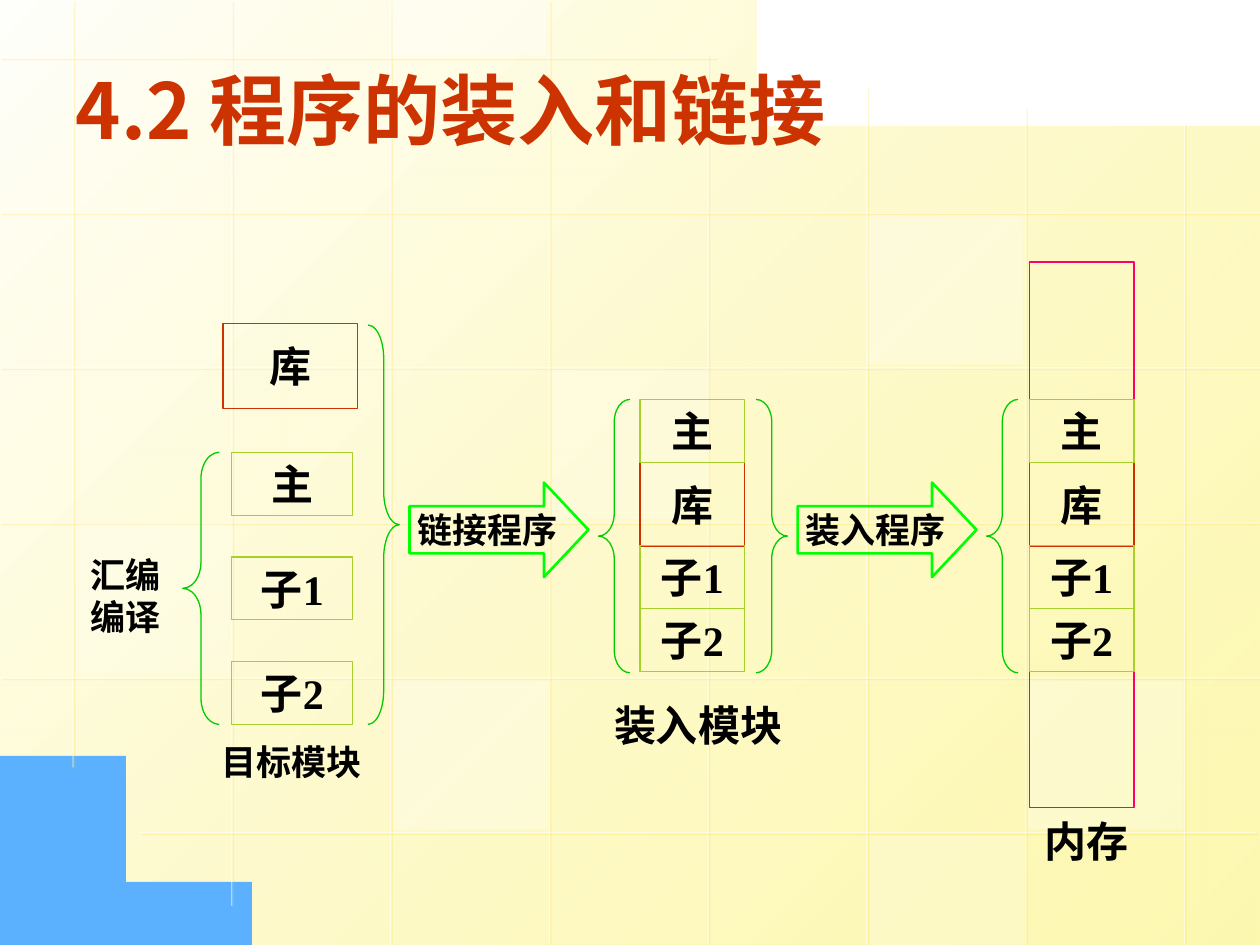
from lxml import etree
from pptx import Presentation
from pptx.dml.color import RGBColor
from pptx.enum.dml import MSO_FILL
from pptx.enum.shapes import MSO_CONNECTOR, MSO_SHAPE
from pptx.enum.text import MSO_ANCHOR, MSO_AUTO_SIZE, PP_ALIGN
from pptx.oxml.ns import qn
from pptx.util import Inches, Pt

RECTANGLE, ARROW = MSO_SHAPE.RECTANGLE, MSO_SHAPE.RIGHT_ARROW
LEFT_BRACE, RIGHT_BRACE = MSO_SHAPE.LEFT_BRACE, MSO_SHAPE.RIGHT_BRACE
STRAIGHT, GRADIENT = MSO_CONNECTOR.STRAIGHT, MSO_FILL.GRADIENT
MIDDLE, TOP = MSO_ANCHOR.MIDDLE, MSO_ANCHOR.TOP
LEFT, CENTER, NO_AUTOFIT = PP_ALIGN.LEFT, PP_ALIGN.CENTER, MSO_AUTO_SIZE.NONE

THEME = {
    "latin": "Times New Roman", "chinese": "Noto Sans CJK SC",
    "title_size": 44, "box_size": 24, "label_size": 20,
    "title": "CC3300", "text": "000000", "library": "CC3300", "module": "A8D02A",
    "brace": "00CC00", "arrow": "00FF00", "memory": "FF0066",
    "pale": "FFFFFB", "yellow": "FDF58D", "blue": "5CB1FE",
    "grid": "FFFFFF", "grid_shadow": "FFCC00",
}

TITLE = "4.2 程序的装入和链接"

# Outlines: a start point, then line ends (x, y) or cubic curves (x1, y1, x2, y2, x, y)
YELLOW_FIELD = [(10, 1.04), (10, 7.5), (2.3, 7.5),
                (0.86, 6.61, -0.01, 5.39, 0, 5.39),
                (-0.01, -0.01), (4.21, 0.01), (4.21, 0.01, 5.37, 0.69, 10, 1.04)]
BLUE_CORNER = [(0.01, 5.59), (0.01, 7.5), (2.03, 7.5), (2.03, 7.5, 1.12, 7.09, 0.01, 5.59)]

GRID_LEFT, GRID_TOP, COLUMN_STEP, ROW_STEP = 0.58, 0.46, 1.26, 1.23
COLUMN_SPANS = [(0, 6.09), (0, 7.19), (0, 7.5), (0, 7.5),
                (0.43, 7.5), (0.68, 7.5), (0.85, 7.5), (0.98, 7.5)]
ROW_SPANS = [(0, 5.68), (0, 10), (0, 10), (0, 10), (0, 10), (1.11, 9.97)]
# Lightened grid cells: left, top, height, opacity in percent
GRID_CELLS = [(4.38, 2.94, 1.18, 25), (8.16, 5.4, 1.18, 30), (0.6, 4.16, 1.18, 20),
              (6.9, 6.63, 0.87, 20), (3.11, 0, 0.44, 40), (3.12, 5.4, 1.18, 30),
              (6.89, 1.71, 1.18, 30)]

OBJECT_MODULES = ["主", "子1", "子2"]
# Linked module: text, offset from its top, height, line colour
LINKED_PARTS = [("库", 0.5, 0.67, "library"), ("主", 0, 0.5, "module"),
                ("子1", 1.16, 0.5, "module"), ("子2", 1.66, 0.5, "module")]
STACK_TOP, STACK_WIDTH, STACK_HEIGHT = 3.17, 0.83, 2.17
STACK_LEFTS = [5.08, 8.17]

# Braces: shape, left, top, width, height, curl
BRACES = [(LEFT_BRACE, 1.45, 3.59, 0.29, 2.16, 0.72),
          (RIGHT_BRACE, 2.92, 2.58, 0.25, 3.17, 1.06)]
BRACES += [(kind, left, STACK_TOP, 0.25, STACK_HEIGHT, 0.72)
           for kind, left in [(LEFT_BRACE, 4.75), (RIGHT_BRACE, 6), (LEFT_BRACE, 7.83)]]
STEPS = [("链接程序", 3.25), ("装入程序", 6.33)]
# Captions: lines, left, top, width, height, type size
CAPTIONS = [(["汇编", "编译"], 0.59, 4.34, 0.81, 0.77, "label_size"),
            (["目标模块"], 1.55, 5.83, 1.53, 0.43, "label_size"),
            (["装入模块"], 4.75, 5.5, 1.58, 0.5, "box_size"),
            (["内存"], 8.08, 6.42, 1.08, 0.5, "box_size")]


def color(name):
    return RGBColor.from_string(THEME[name])


def set_alpha(parent, percent):
    """Make the RGB colour found inside an XML element partly transparent."""
    rgb = next(parent.iter(qn("a:srgbClr")))
    etree.SubElement(rgb, qn("a:alpha"), val=str(percent * 1000))


def write_text(shape, lines, size="box_size", ink="text", latin="latin",
               align=CENTER, anchor=MIDDLE, wrap=False):
    frame = shape.text_frame
    frame.text = "\n".join(lines)
    frame.auto_size, frame.word_wrap, frame.vertical_anchor = NO_AUTOFIT, wrap, anchor
    for paragraph in frame.paragraphs:
        paragraph.alignment = align
        for run in paragraph.runs:
            font = run.font
            font.size, font.bold, font.name = Pt(THEME[size]), True, THEME[latin]
            font.color.rgb = color(ink)
            east_asian = etree.Element(qn("a:ea"), typeface=THEME["chinese"])
            font._element.find(qn("a:latin")).addnext(east_asian)


def add_outline(slide, kind, left, top, width, height, line, points=0.75):
    shape = slide.shapes.add_shape(kind, *map(Inches, (left, top, width, height)))
    shape.shadow.inherit = False
    shape.fill.background()
    shape.line.color.rgb, shape.line.width = color(line), Pt(points)
    return shape


def add_curved_area(slide, outline, steps=32):
    """Draw a closed area, with its cubic curves divided into short lines."""
    points = [outline[0]]
    for part in outline[1:]:
        if len(part) == 2:
            points.append(part)
            continue
        corners = [points[-1], part[:2], part[2:4], part[4:]]
        for step in range(1, steps + 1):
            t = step / steps
            weights = ((1 - t) ** 3, 3 * t * (1 - t) ** 2, 3 * t * t * (1 - t), t ** 3)
            points.append(tuple(sum(w * corner[axis] for w, corner in zip(weights, corners))
                                for axis in (0, 1)))
    builder = slide.shapes.build_freeform(*points[0], scale=Inches(1))
    builder.add_line_segments(points[1:], close=True)
    shape = builder.convert_to_shape()
    shape.shadow.inherit = False
    shape.line.fill.background()
    return shape


def add_grid_line(slide, *ends):
    connector = slide.shapes.add_connector(STRAIGHT, *map(Inches, ends))
    connector.line.color.rgb, connector.line.width = color("grid"), Pt(0.75)
    properties = connector._element.spPr
    set_alpha(properties, 50)
    effects = etree.SubElement(properties, qn("a:effectLst"))
    shadow = etree.SubElement(effects, qn("a:outerShdw"), blurRad="0",
                              dist=str(Pt(1.4)), dir="2700000", algn="ctr", rotWithShape="0")
    etree.SubElement(shadow, qn("a:srgbClr"), val=THEME["grid_shadow"])
    set_alpha(shadow, 34)


def draw_background(slide):
    field = add_curved_area(slide, YELLOW_FIELD)
    field.fill.gradient()
    field.fill.gradient_angle = 315
    for stop, name in zip(field.fill.gradient_stops, ("pale", "yellow")):
        stop.color.rgb = color(name)
    set_alpha(field._element.spPr.findall(".//" + qn("a:gs"))[1], 70)
    corner = add_curved_area(slide, BLUE_CORNER)
    corner.fill.solid()
    corner.fill.fore_color.rgb = color("blue")

    for index, (top, bottom) in enumerate(COLUMN_SPANS):
        x = GRID_LEFT + index * COLUMN_STEP
        add_grid_line(slide, x, top, x, bottom)
    for index, (left, right) in enumerate(ROW_SPANS):
        y = GRID_TOP + index * ROW_STEP
        add_grid_line(slide, right, y, left, y)
    for left, top, height, opacity in GRID_CELLS:
        cell = add_outline(slide, RECTANGLE, left, top, 1.23, height, "grid")
        cell.line.fill.background()
        cell.fill.solid()
        cell.fill.fore_color.rgb = color("grid")
        set_alpha(cell._element.spPr.find(qn("a:solidFill")), opacity)


def draw_diagram(slide):
    library = add_outline(slide, RECTANGLE, 1.77, 2.57, 1.07, 0.67, "library")
    write_text(library, ["库"])
    for index, name in enumerate(OBJECT_MODULES):
        module = add_outline(slide, RECTANGLE, 1.84, 3.59 + index * 0.83, 0.96, 0.5, "module")
        write_text(module, [name])
    add_outline(slide, RECTANGLE, STACK_LEFTS[1], 2.08, STACK_WIDTH, 4.33, "memory")
    for left in STACK_LEFTS:
        for name, offset, height, line in LINKED_PARTS:
            part = add_outline(slide, RECTANGLE, left, STACK_TOP + offset,
                               STACK_WIDTH, height, line)
            write_text(part, [name])
    for kind, left, top, width, height, curl in BRACES:
        brace = add_outline(slide, kind, left, top, width, height, "brace")
        brace.adjustments[0], brace.adjustments[1] = curl, 0.5
    for name, left in STEPS:
        arrow = add_outline(slide, ARROW, left, 3.83, 1.42, 0.75, "arrow", points=1.5)
        arrow.adjustments[0], arrow.adjustments[1] = 0.5, 0.47
        write_text(arrow, [name], size="label_size")
    for lines, left, top, width, height, size in CAPTIONS:
        caption = slide.shapes.add_textbox(*map(Inches, (left, top, width, height)))
        write_text(caption, lines, size=size, anchor=TOP, wrap=True)


def main():
    presentation = Presentation()
    presentation.slide_width, presentation.slide_height = Inches(10), Inches(7.5)
    slide = presentation.slides.add_slide(presentation.slide_layouts[5])
    draw_background(slide)

    title = slide.shapes.title
    title.left, title.top, title.width, title.height = map(Inches, (0.5, 0.36, 9, 1.01))
    write_text(title, [TITLE], size="title_size", ink="title", latin="chinese",
               align=LEFT, wrap=True)
    slide.shapes._spTree.append(title._element)  # in front of the background

    draw_diagram(slide)
    presentation.save("out.pptx")


if __name__ == "__main__":
    main()
